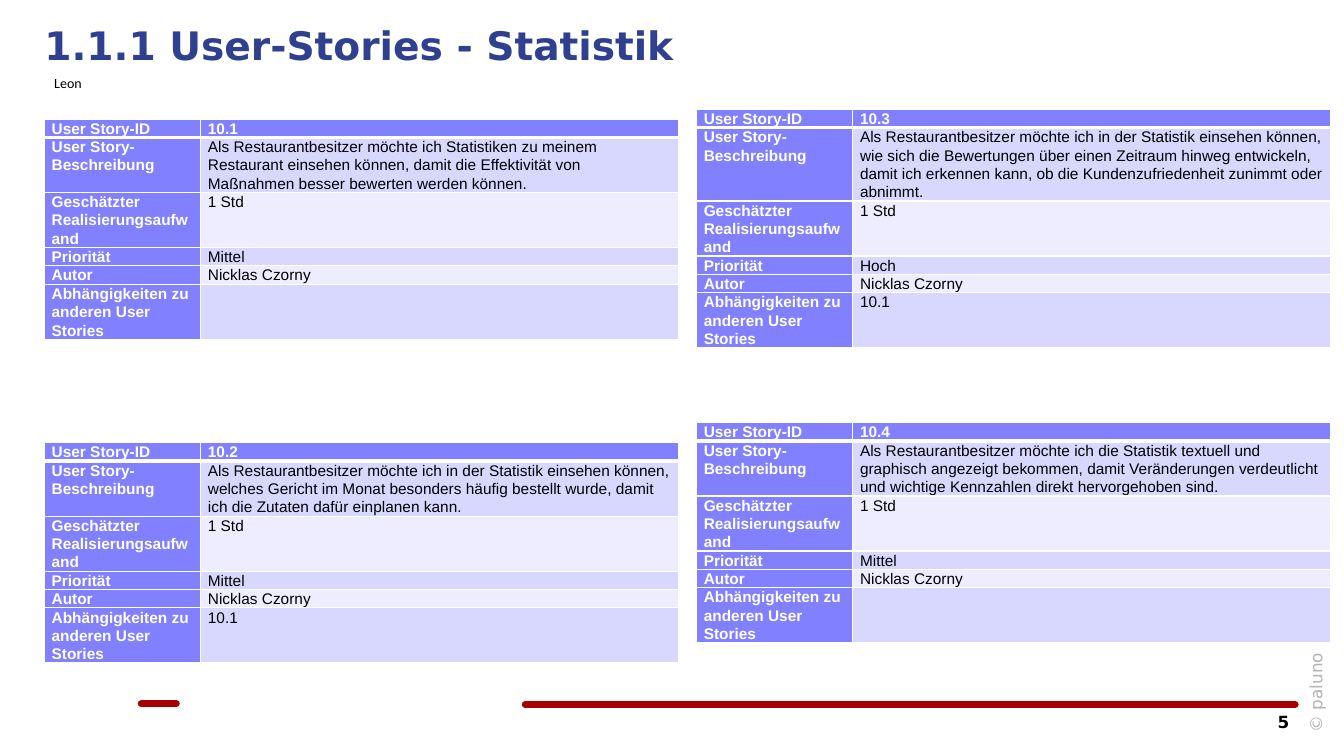
"""Build the slide with four user story tables on statistics."""
import dataclasses

import lxml.etree
import pptx
import pptx.dml.color
import pptx.enum.shapes
import pptx.enum.text
import pptx.oxml.ns
import pptx.slide
import pptx.text.text
import pptx.util

Pt = pptx.util.Pt
Color = pptx.dml.color.RGBColor
Frame = pptx.text.text.TextFrame
Slide = pptx.slide.Slide
Align = pptx.enum.text.PP_ALIGN
qn = pptx.oxml.ns.qn

NAVY = Color(0x30, 0x40, 0x90)
RED = Color(0xA9, 0x00, 0x00)
GREY = Color(0xB3, 0xB3, 0xB3)
BLACK = Color(0x00, 0x00, 0x00)
WHITE = Color(0xFF, 0xFF, 0xFF)
VIOLET = Color(0x81, 0x81, 0xFF)
LILAC = Color(0xD8, 0xD8, 0xFF)
PALE = Color(0xED, 0xED, 0xFF)

LEFT, RIGHT = 31.7, 497.5
WIDTHS = (111.6, 341.3)
LINE = 13
LABELS = (
    "User Story-ID",
    "User Story-Beschreibung",
    "Geschätzter Realisierungsaufwand",
    "Priorität",
    "Autor",
    "Abhängigkeiten zu anderen User Stories",
)


@dataclasses.dataclass
class Story:
    left: float
    top: float
    key: str
    text: str
    rank: str
    needs: str
    lines: int = 3


@dataclasses.dataclass
class Note:
    text: str
    left: float
    top: float
    width: float
    height: float
    size: float
    face: str
    color: Color
    bold: bool = False
    align: Align = Align.LEFT
    turn: float = 0
    pad: tuple[float, float] = (7.2, 3.6)
    space: float = 0.9


@dataclasses.dataclass
class Bar:
    start: float
    end: float
    top: float


STORIES = (
    Story(LEFT, 85, "10.1",
          "Als Restaurantbesitzer möchte ich Statistiken zu meinem Restaurant "
          "einsehen können, damit die Effektivität von Maßnahmen besser "
          "bewerten werden können.", "Mittel", ""),
    Story(LEFT, 316.2, "10.2",
          "Als Restaurantbesitzer möchte ich in der Statistik einsehen können, "
          "welches Gericht im Monat besonders häufig bestellt wurde, damit ich "
          "die Zutaten dafür einplanen kann.", "Mittel", "10.1"),
    Story(RIGHT, 78, "10.3",
          "Als Restaurantbesitzer möchte ich in der Statistik einsehen können, "
          "wie sich die Bewertungen über einen Zeitraum hinweg entwickeln, "
          "damit ich erkennen kann, ob die Kundenzufriedenheit zunimmt oder "
          "abnimmt.", "Hoch", "10.1", 4),
    Story(RIGHT, 301.8, "10.4",
          "Als Restaurantbesitzer möchte ich die Statistik textuell und "
          "graphisch angezeigt bekommen, damit Veränderungen verdeutlicht und "
          "wichtige Kennzahlen direkt hervorgehoben sind.", "Mittel", ""),
)
NOTES = (
    Note("© paluno", 910.1, 478.8, 74.2, 25.9, 12, "DejaVu Sans", GREY,
         turn=270, pad=(5.8, 0)),
    Note("5", 846.7, 506.2, 81.4, 20.2, 12, "DejaVu Sans", BLACK,
         bold=True, align=Align.RIGHT),
    Note("Leon", LEFT, 49, 184.3, 19.4, 10, "Calibri", BLACK, space=1.07),
)
BARS = (Bar(375.1, 925.2, 503.3), Bar(100.8, 126, 502.7))


def style(frame: Frame, size: float, face: str, color: Color, bold: bool,
          space: float) -> None:
    for para in frame.paragraphs:
        para.line_spacing = space
        for run in para.runs:
            run.font.size = Pt(size)
            run.font.name = face
            run.font.color.rgb = color
            run.font.bold = bold


def edge(cell: pptx.table._Cell, base: float) -> None:
    props = cell._tc.get_or_add_tcPr()
    sides = (("lnL", 1), ("lnR", 1), ("lnT", 1), ("lnB", base))
    for spot, (side, width) in enumerate(sides):
        line = lxml.etree.Element(qn(f"a:{side}"), w=str(Pt(width)))
        fill = lxml.etree.SubElement(line, qn("a:solidFill"))
        lxml.etree.SubElement(fill, qn("a:srgbClr"), val=str(WHITE))
        props.insert(spot, line)


def add_story(slide: Slide, story: Story) -> None:
    counts = (1, story.lines, 3, 1, 1, 3)
    values = (story.key, story.text, "1 Std", story.rank, "Nicklas Czorny",
              story.needs)
    table = slide.shapes.add_table(
        len(LABELS), 2, Pt(story.left), Pt(story.top), Pt(sum(WIDTHS)),
        Pt(LINE * sum(counts))).table
    table.horz_banding = False
    for column, width in zip(table.columns, WIDTHS):
        column.width = Pt(width)
    for row, pair in enumerate(zip(LABELS, values)):
        table.rows[row].height = Pt(LINE * counts[row])
        for col, text in enumerate(pair):
            cell = table.cell(row, col)
            head = row == 0 or col == 0
            cell.text_frame.text = text
            cell.margin_left = cell.margin_right = Pt(5.2)
            cell.margin_top = cell.margin_bottom = Pt(0)
            style(cell.text_frame, 11, "Arial", WHITE if head else BLACK,
                  head, 1.07)
            cell.fill.solid()
            cell.fill.fore_color.rgb = (
                VIOLET if head else LILAC if row % 2 else PALE)
            edge(cell, 3 if row == 0 else 1)


def add_note(slide: Slide, note: Note) -> None:
    box = slide.shapes.add_textbox(
        Pt(note.left), Pt(note.top), Pt(note.width), Pt(note.height))
    box.rotation = note.turn
    frame = box.text_frame
    frame.word_wrap = True
    frame.margin_left = frame.margin_right = Pt(note.pad[0])
    frame.margin_top = frame.margin_bottom = Pt(note.pad[1])
    frame.text = note.text
    frame.paragraphs[0].alignment = note.align
    style(frame, note.size, note.face, note.color, note.bold, note.space)


def add_bar(slide: Slide, bar: Bar) -> None:
    line = slide.shapes.add_connector(
        pptx.enum.shapes.MSO_CONNECTOR.STRAIGHT,
        Pt(bar.start), Pt(bar.top), Pt(bar.end), Pt(bar.top))
    line.line.color.rgb = RED
    line.line.width = Pt(4.8)
    line.line._get_or_add_ln().set("cap", "rnd")
    lxml.etree.SubElement(line._element.spPr, qn("a:effectLst"))


def add_title(slide: Slide) -> None:
    title = slide.shapes.title
    title.left, title.top = Pt(LEFT), Pt(18.7)
    title.width, title.height = Pt(895.7), Pt(91.4)
    frame = title.text_frame
    frame.text = "1.1.1 User-Stories - Statistik"
    frame.vertical_anchor = pptx.enum.text.MSO_ANCHOR.TOP
    frame.margin_left = frame.margin_right = Pt(0)
    frame.margin_top = frame.margin_bottom = Pt(0)
    frame.paragraphs[0].alignment = Align.LEFT
    style(frame, 28, "DejaVu Sans", NAVY, True, 0.9)


def main() -> None:
    deck = pptx.Presentation()
    deck.slide_width, deck.slide_height = Pt(960), Pt(540)
    slide = deck.slides.add_slide(deck.slide_layouts[5])
    add_title(slide)
    for bar in BARS:
        add_bar(slide, bar)
    for story in STORIES:
        add_story(slide, story)
    for note in NOTES:
        add_note(slide, note)
    deck.save("out.pptx")


if __name__ == "__main__":
    main()
